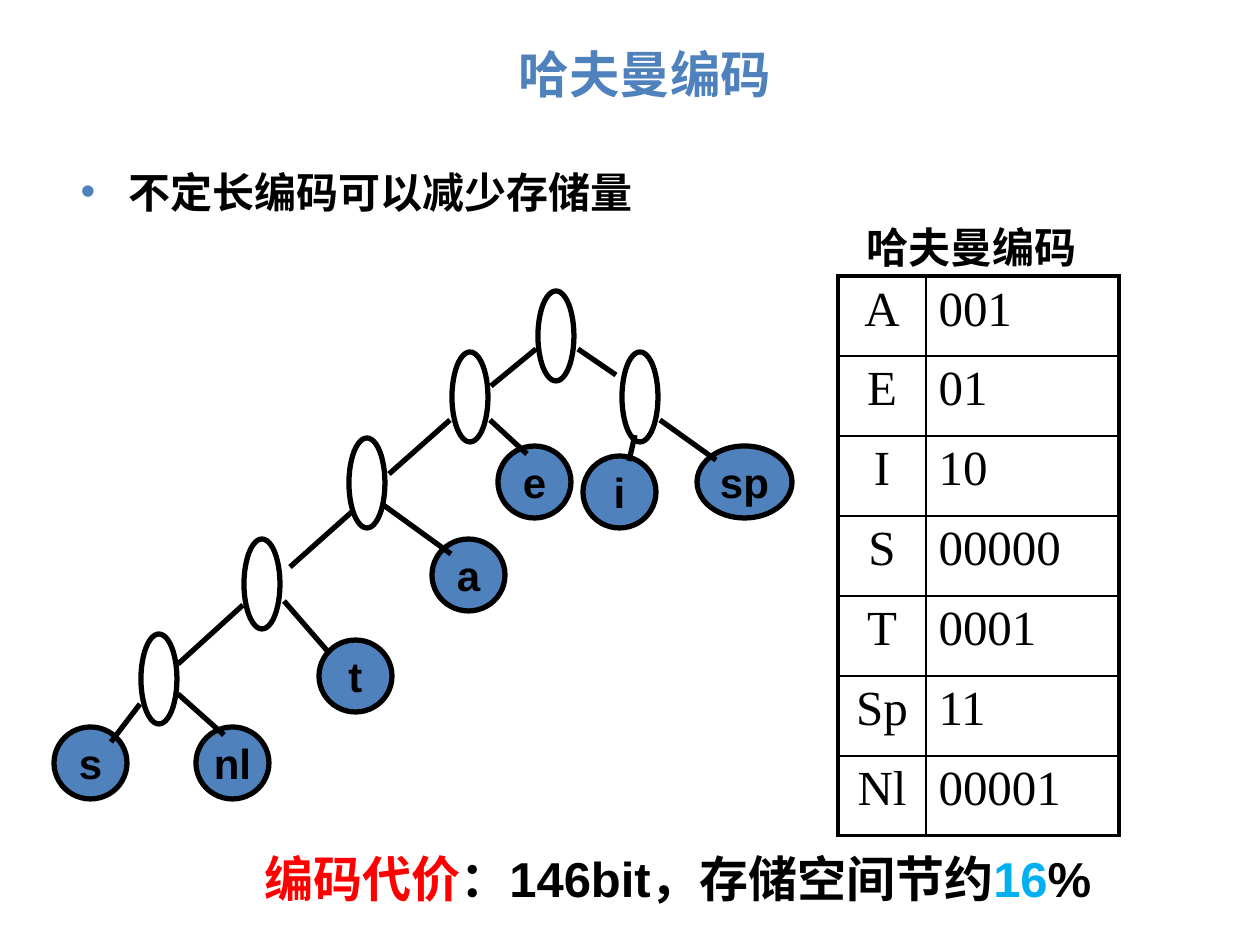
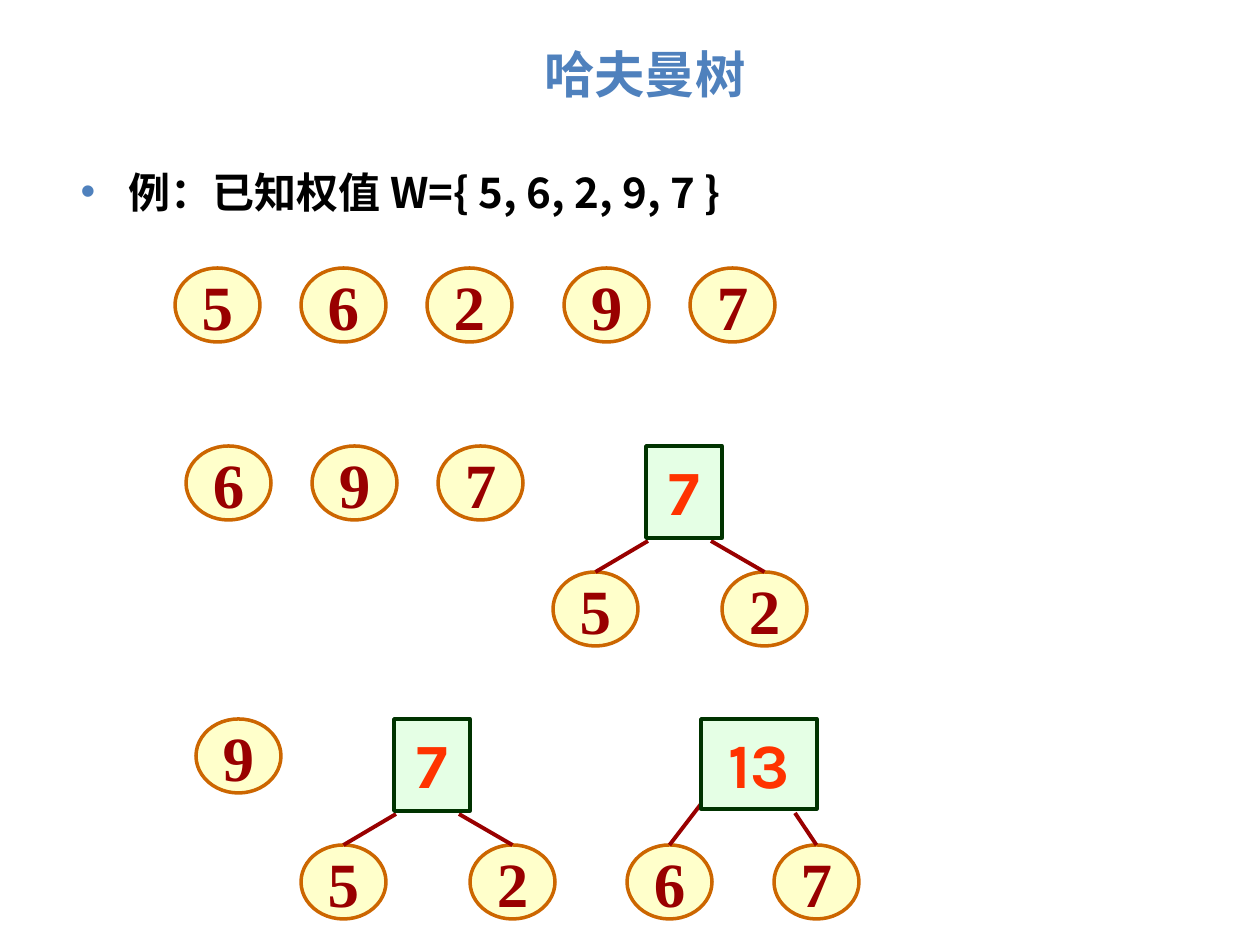
from lxml import etree
from pptx import Presentation
from pptx.dml.color import RGBColor
from pptx.enum.shapes import MSO_CONNECTOR, MSO_SHAPE
from pptx.enum.text import MSO_ANCHOR, MSO_AUTO_SIZE, PP_ALIGN
from pptx.oxml.ns import qn
from pptx.util import Emu, Pt

ELLIPSE, RECTANGLE = MSO_SHAPE.OVAL, MSO_SHAPE.RECTANGLE
STRAIGHT = MSO_CONNECTOR.STRAIGHT
LEFT, CENTER = PP_ALIGN.LEFT, PP_ALIGN.CENTER
TOP, MIDDLE = MSO_ANCHOR.TOP, MSO_ANCHOR.MIDDLE
NO_AUTOFIT = MSO_AUTO_SIZE.NONE

BLACK = RGBColor(0x00, 0x00, 0x00)
BLUE = RGBColor(0x4F, 0x81, 0xBD)
RED = RGBColor(0xFF, 0x00, 0x00)
SKY = RGBColor(0x00, 0xB0, 0xF0)
YELLOW = RGBColor(0xFF, 0xFF, 0x99)
ORANGE = RGBColor(0xCC, 0x66, 0x00)
DARK_RED = RGBColor(0x99, 0x00, 0x00)
MINT = RGBColor(0xCC, 0xFF, 0xCC)
DARK_GREEN = RGBColor(0x00, 0x33, 0x00)
VERMILION = RGBColor(0xFF, 0x33, 0x00)

SANS, SERIF, CJK, NUMERAL = "Arial", "Times New Roman", "Noto Sans CJK SC", "Karla"
PX = 914400 / 126


def px(*lengths):
    return [Emu(round(length * PX)) for length in lengths]


class Deck:
    """Holds the shared style and the current slide."""

    def __init__(self):
        self.presentation = Presentation()
        self.presentation.slide_width, self.presentation.slide_height = px(1260, 945)
        self.slide = None

    def format_run(self, run, size, font, color, bold=True):
        run.font.size, run.font.bold, run.font.name = Pt(size), bold, font
        run.font.color.rgb = color
        etree.SubElement(run._r.get_or_add_rPr(), qn("a:ea"), typeface=CJK)

    def set_text(self, frame, text, size, font, color, align=CENTER, bold=True):
        frame.text = text
        paragraph = frame.paragraphs[0]
        paragraph.alignment = align
        paragraph.space_before = Pt(0)
        self.format_run(paragraph.runs[0], size, font, color, bold)

    def place(self, shape, left, top, width, height):
        shape.left, shape.top, shape.width, shape.height = px(left, top, width, height)

    def add_slide(self, title, point, font):
        layout = self.presentation.slide_layouts[1]
        self.slide = self.presentation.slides.add_slide(layout)
        heading, body = self.slide.placeholders
        self.place(heading, 68, 34, 1154, 79)
        heading.text_frame.auto_size = NO_AUTOFIT
        heading.text_frame.vertical_anchor = MIDDLE
        self.set_text(heading.text_frame, title, 28.8, font, BLUE)

        self.place(body, 68, 160, 1154, 750)
        body.text_frame.auto_size = NO_AUTOFIT
        self.set_text(body.text_frame, point, 24, font, BLACK, LEFT)
        properties = body.text_frame.paragraphs[0]._p.get_or_add_pPr()
        indent = px(48)[0]
        properties.set("marL", str(indent))
        properties.set("indent", str(-indent))
        bullet_color = etree.SubElement(properties, qn("a:buClr"))
        etree.SubElement(bullet_color, qn("a:srgbClr"), val=str(BLUE))
        etree.SubElement(properties, qn("a:buFont"), typeface=SANS)
        etree.SubElement(properties, qn("a:buChar"), char="•")

    def add_shape(self, kind, box, line, weight, fill=None, alpha=None):
        shape = self.slide.shapes.add_shape(kind, *px(*box))
        shape.shadow.inherit = False
        shape.line.color.rgb, shape.line.width = line, Pt(weight)
        if fill is None:
            shape.fill.background()
        else:
            shape.fill.solid()
            shape.fill.fore_color.rgb = fill
        if alpha:
            color = shape._element.spPr.find(qn("a:solidFill"))[0]
            etree.SubElement(color, qn("a:alpha"), val=str(alpha * 1000))
        return shape

    def add_line(self, start, end, color=BLACK, weight=3):
        line = self.slide.shapes.add_connector(STRAIGHT, *px(*start, *end))
        line.line.color.rgb, line.line.width = color, Pt(weight)
        etree.SubElement(line._element.spPr, qn("a:effectLst"))
        return line

    def add_leaf(self, text, left, top, width=73):
        leaf = self.add_shape(ELLIPSE, (left, top, width, 72), BLACK, 3, BLUE)
        frame = leaf.text_frame
        frame.margin_left = frame.margin_right = frame.margin_top = frame.margin_bottom = 0
        frame.vertical_anchor = MIDDLE
        self.set_text(frame, text, 24, SANS, BLACK)

    def add_weight(self, text, left, top):
        weight = self.add_shape(ELLIPSE, (left, top, 85, 74), ORANGE, 2, YELLOW, 50)
        weight.text_frame.word_wrap = False
        weight.text_frame.vertical_anchor = MIDDLE
        self.set_text(weight.text_frame, text, 36, SERIF, DARK_RED)
        return weight

    def add_merged(self, text, box, children, branches):
        """Draw a merged weight and its two children, joined by branches."""
        for (child, left), start in zip(children, branches):
            leaf = self.add_weight(child, left, box[1] + 126)
            branch = self.add_line(start, start, DARK_RED, 2.25)
            branch.end_connect(leaf, 0)
        root = self.add_shape(RECTANGLE, box, DARK_GREEN, 2, MINT, 50)
        root.text_frame.vertical_anchor = TOP
        self.set_text(root.text_frame, text, 36, NUMERAL, VERMILION)

    def add_text(self, box, size, *parts):
        frame = self.slide.shapes.add_textbox(*px(*box)).text_frame
        frame.word_wrap = True
        paragraph = frame.paragraphs[0]
        paragraph.alignment = CENTER
        for text, color in parts:
            run = paragraph.add_run()
            run.text = text
            self.format_run(run, size, SANS, color)

    def add_border(self, cell, side, weight):
        border = etree.SubElement(cell._tc.get_or_add_tcPr(), qn(f"a:ln{side}"),
                                  w=str(Pt(weight)))
        fill = etree.SubElement(border, qn("a:solidFill"))
        etree.SubElement(fill, qn("a:srgbClr"), val=str(BLACK))

    def add_code_table(self, codes, left, top, widths, row_height):
        box = px(left, top, sum(widths), row_height * len(codes))
        table = self.slide.shapes.add_table(len(codes), len(widths), *box).table
        table.first_row = table.horz_banding = False
        for column, width in zip(table.columns, px(*widths)):
            column.width = width
        last_row, last_column = len(codes) - 1, len(widths) - 1
        for i, values in enumerate(codes):
            table.rows[i].height = px(row_height)[0]
            for j, value in enumerate(values):
                cell = table.cell(i, j)
                outer_sides = {"L": j == 0, "R": j == last_column,
                               "T": i == 0, "B": i == last_row}
                for side, outer in outer_sides.items():
                    self.add_border(cell, side, 2.25 if outer else 1)
                cell.fill.background()
                self.set_text(cell.text_frame, value, 28, SERIF, BLACK,
                              LEFT if j else CENTER, bold=False)


def build_coding_slide(deck):
    deck.add_slide("哈夫曼编码", "不定长编码可以减少存储量", SANS)

    # Code tree: inner nodes, leaves, branches
    for left, top in [(538, 291), (452, 352), (349, 438), (622, 352), (141, 634), (244, 539)]:
        deck.add_shape(ELLIPSE, (left, top, 36, 90), BLACK, 3)
    for text, left, top in [("s", 54, 727), ("nl", 196, 727), ("t", 319, 640),
                            ("a", 432, 539), ("e", 498, 446), ("i", 583, 456)]:
        deck.add_leaf(text, left, top)
    deck.add_leaf("sp", 697, 446, 95)
    branches = [
        ((536, 349), (491, 386)), ((450, 420), (389, 474)), ((354, 510), (290, 567)),
        ((243, 605), (178, 664)), ((140, 704), (111, 742)), ((178, 694), (224, 735)),
        ((284, 601), (330, 654)), ((382, 504), (451, 554)), ((490, 420), (527, 454)),
        ((578, 349), (616, 375)), ((635, 435), (629, 461)), ((660, 420), (716, 460)),
    ]
    for start, end in branches:
        deck.add_line(start, end)

    # Code table, its caption and the cost
    codes = [("A", "001"), ("E", "01"), ("I", "10"), ("S", "00000"),
             ("T", "0001"), ("Sp", "11"), ("Nl", "00001")]
    deck.add_code_table(codes, 838, 276, (88, 193), 80)
    deck.add_text((198, 842, 960, 72), 28, ("编码代价", RED),
                  ("：146bit，存储空间节约", BLACK), ("16", SKY), ("%", BLACK))
    deck.add_text((828, 215, 287, 63), 24, ("哈夫曼编码", BLACK))


def build_tree_slide(deck):
    deck.add_slide("哈夫曼树", "例：已知权值 W={ 5, 6, 2, 9, 7 }", CJK)

    # Weights not merged yet, one row per step
    step = 126
    for weights, left, top in [("562", 175, 268), ("97", 564, 268),
                               ("697", 186, 446), ("9", 196, 719)]:
        for i, weight in enumerate(weights):
            deck.add_weight(weight, left + i * step, top)

    # Merged trees
    for left, top in [(646, 446), (394, 719)]:
        deck.add_merged("7", (left, top, 76, 92),
                        [("5", left - 93), ("2", left + 76)],
                        [(left + 2, top + 95), (left + 65, top + 95)])
    deck.add_merged("13", (701, 719, 116, 90), [("6", 627), ("7", 774)],
                    [(701, 804), (795, 813)])


def main():
    deck = Deck()
    build_coding_slide(deck)
    build_tree_slide(deck)
    deck.presentation.save("out.pptx")


if __name__ == "__main__":
    main()
